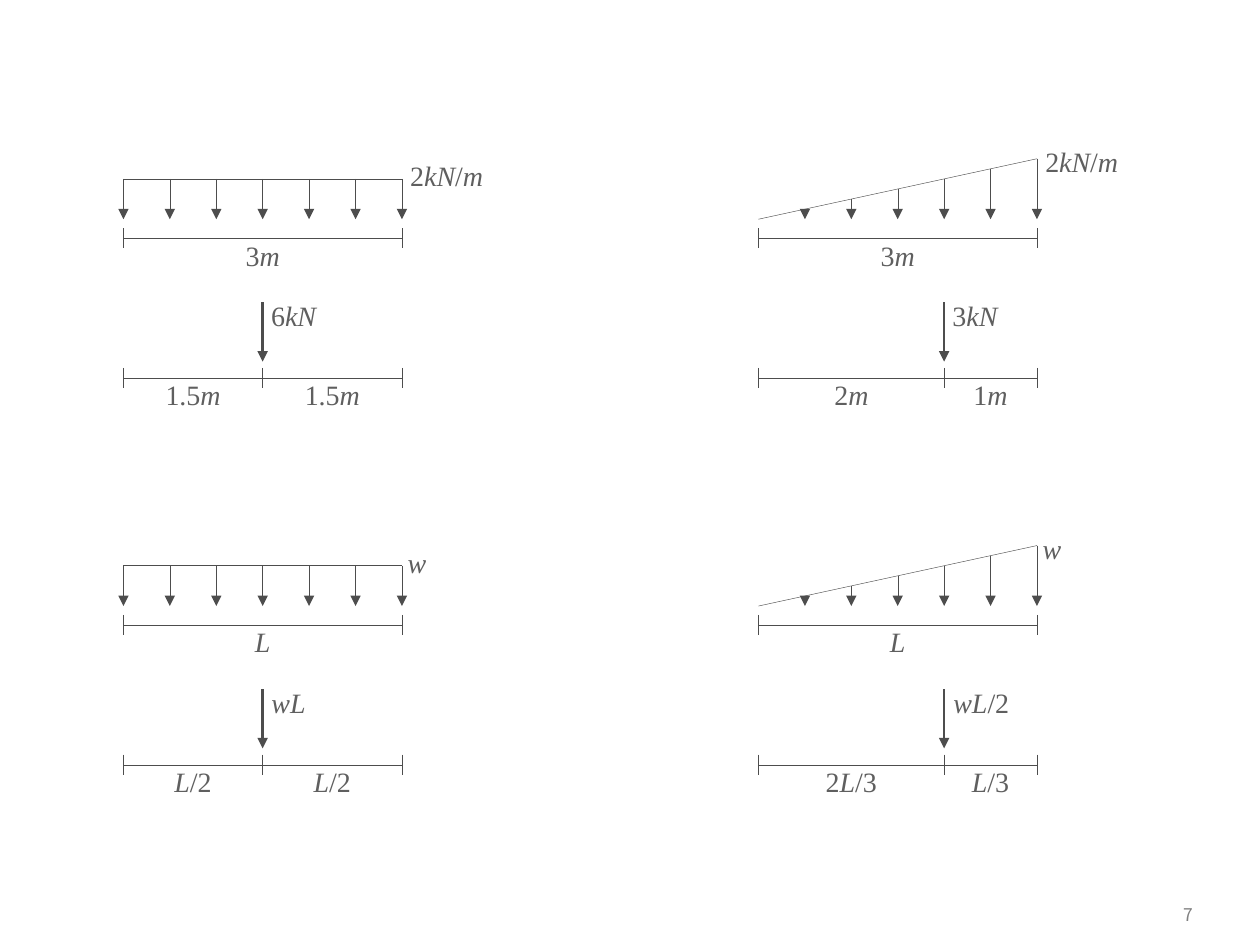
from itertools import groupby

from pptx import Presentation
from pptx import util as u
from pptx.dml.color import RGBColor
from pptx.enum import shapes, text
from pptx.oxml.ns import qn
from lxml import etree

COLORS = {"line": "4D4D4D", "label": "5F5F5F", "number": "808080"}
LABEL = {"size": u.Pt(16), "name": "Times New Roman"}
NUMBER = {"size": u.Pt(10), "name": "Noto Sans CJK KR"}
NO_INSETS = {"margin_left": 0, "margin_right": 0, "margin_top": 0, "margin_bottom": 0,
             "word_wrap": True}
SPAN = 2.21
INTERVALS = 6
ROW_PITCH = 3.07
WIDTHS = {"2kN/m": 0.71, "w": 0.24, "6kN": 0.47, "3kN": 0.47, "wL": 0.39, "wL/2": 0.57}
BEAMS = [
    (0.98, 0, "uniform", "2kN/m", "3m", "6kN", ("1.5m", "1.5m")),
    (6.02, 0, "triangular", "2kN/m", "3m", "3kN", ("2m", "1m")),
    (0.98, 1, "uniform", "w", "L", "wL", ("L/2", "L/2")),
    (6.02, 1, "triangular", "w", "L", "wL/2", ("2L/3", "L/3")),
]
PEAKS = {"uniform": 0.32, "triangular": 0.48}
CENTROIDS = {"uniform": 1 / 2, "triangular": 2 / 3}


def apply(target, values):
    """Set each attribute in values on the target."""
    for attribute, value in values.items():
        setattr(target, attribute, value)


def add_line(group, start, end, weight=0.25, arrow=False):
    """Draw a straight line, with an optional arrowhead at its end."""
    ends = [u.Inches(v) for v in (*start, *end)]
    line = group.shapes.add_connector(shapes.MSO_CONNECTOR.STRAIGHT, *ends)
    line.line.width = u.Pt(weight)
    line.line.color.rgb = RGBColor.from_string(COLORS["line"])
    properties = line._element.spPr
    if arrow:
        etree.SubElement(properties.find(qn("a:ln")), qn("a:tailEnd"), type="triangle")
    etree.SubElement(properties, qn("a:effectLst"))


def add_label(group, left, top, width, wording):
    """Write a centred label with its letters in italics."""
    label = group.shapes.add_textbox(*map(u.Inches, (left, top, width, 0.27)))
    apply(label.text_frame, NO_INSETS)
    paragraph = label.text_frame.paragraphs[0]
    paragraph.alignment = text.PP_ALIGN.CENTER
    for italic, letters in groupby(wording, str.isalpha):
        run = paragraph.add_run()
        run.text = "".join(letters)
        apply(run.font, {**LABEL, "italic": italic})
        run.font.color.rgb = RGBColor.from_string(COLORS["label"])


def add_dimension(group, stops, y, labels):
    """Draw a dimension line with a tick at each stop and a label per segment."""
    add_line(group, (stops[0], y), (stops[-1], y))
    for stop in stops:
        add_line(group, (stop, y - 0.08), (stop, y + 0.08))
    for start, end, wording in zip(stops, stops[1:], labels):
        width = 0.48 if len(wording) > 3 else 0.32
        add_label(group, (start + end - width) / 2, y, width, wording)


def add_distributed_load(group, left, top, kind, intensity, length):
    """Draw a distributed load with its intensity and length."""
    right, base, peak = left + SPAN, top + 1.74, PEAKS[kind]
    heights = [peak if kind == "uniform" else peak * i / INTERVALS
               for i in range(INTERVALS + 1)]
    add_line(group, (right, base - peak), (left, base - heights[0]))
    for i, height in enumerate(heights):
        if height:
            x = left + SPAN * i / INTERVALS
            add_line(group, (x, base - height), (x, base), arrow=True)
    label_top = base - peak - (0.16 if kind == "uniform" else 0.11)
    add_label(group, right, label_top, WIDTHS[intensity], intensity)
    add_dimension(group, (left, right), top + 1.89, [length])


def add_resultant(group, left, top, kind, force, lengths):
    """Draw the equivalent point load and the distances to it."""
    x = left + SPAN * CENTROIDS[kind]
    add_line(group, (x, top + 2.4), (x, top + 2.87), weight=1.5, arrow=True)
    add_label(group, x + 0.01, top + 2.37, WIDTHS[force], force)
    add_dimension(group, (left, x, left + SPAN), top + 3, lengths)


def add_slide_number(slide, number):
    """Write the slide number at the lower right."""
    corner = slide.shapes.add_textbox(*map(u.Inches, (8.86, 7.09, 0.71, 0.33)))
    apply(corner.text_frame, {"word_wrap": True, "vertical_anchor": text.MSO_ANCHOR.MIDDLE})
    paragraph = corner.text_frame.paragraphs[0]
    paragraph.alignment = text.PP_ALIGN.RIGHT
    run = paragraph.add_run()
    run.text = number
    apply(run.font, NUMBER)
    run.font.color.rgb = RGBColor.from_string(COLORS["number"])


def main():
    """Build the slide of loads and their resultants."""
    deck = Presentation()
    apply(deck, {"slide_width": u.Inches(10), "slide_height": u.Inches(7.5)})
    slide = deck.slides.add_slide(deck.slide_layouts[6])
    add_slide_number(slide, "7")
    for left, row, kind, intensity, length, force, lengths in BEAMS:
        top = row * ROW_PITCH
        add_distributed_load(slide.shapes.add_group_shape(), left, top, kind, intensity, length)
        add_resultant(slide.shapes.add_group_shape(), left, top, kind, force, lengths)
    deck.save("out.pptx")


if __name__ == "__main__":
    main()
